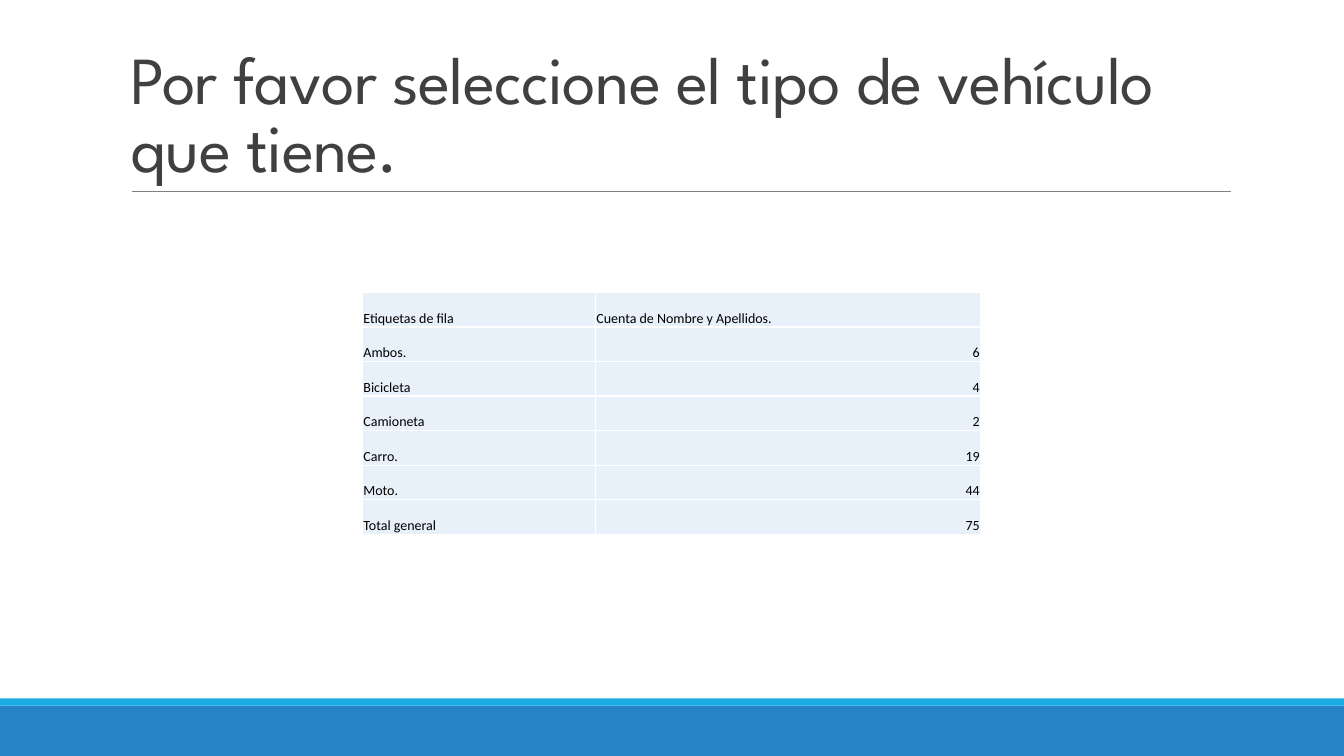
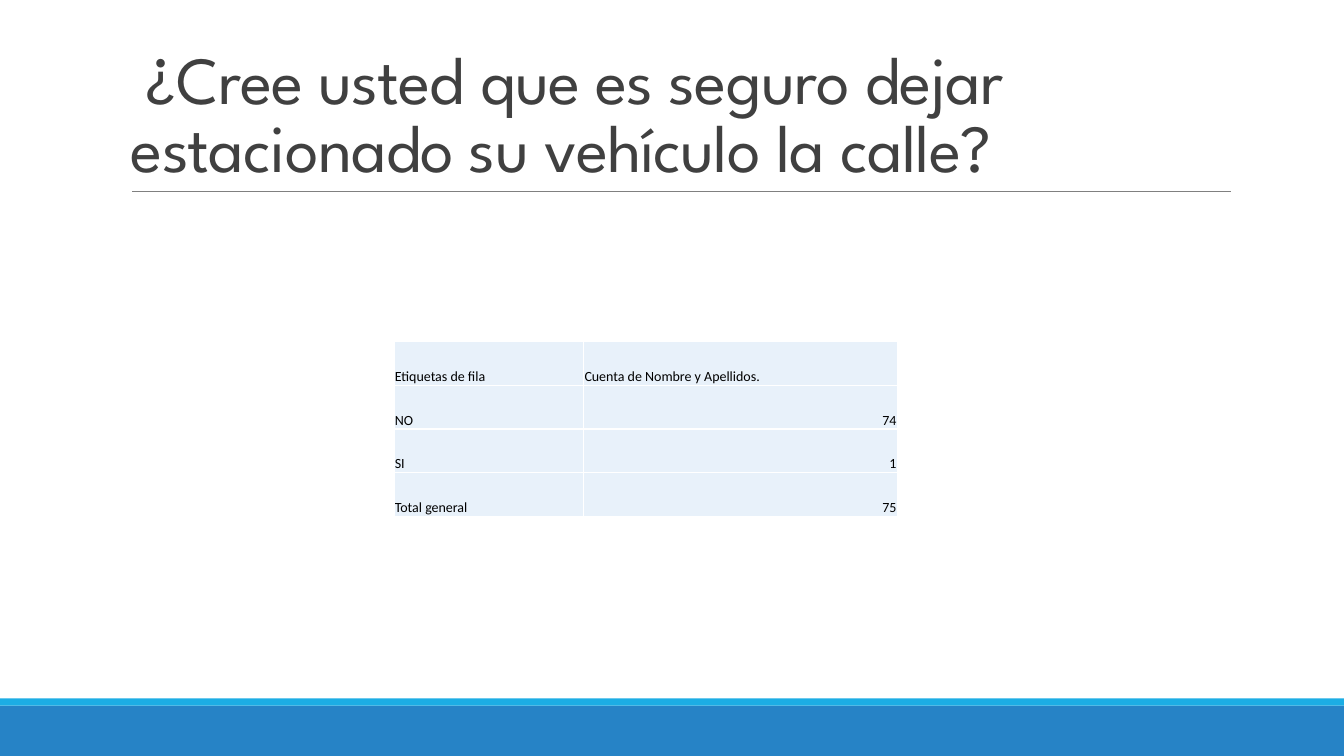
"""Build two survey result slides, each with a title and a table of counts."""
from lxml.etree import SubElement
from pptx import Presentation
from pptx.dml.color import RGBColor
from pptx.enum.shapes import MSO_CONNECTOR as Connector, MSO_SHAPE as Shape
from pptx.enum.text import MSO_ANCHOR as Anchor, PP_ALIGN as Align
from pptx.oxml.ns import qn
from pptx.util import Cm, Pt

HEADER = ("Etiquetas de fila", "Cuenta de Nombre y Apellidos.")
SURVEY = [
    {
        "title": "Por favor seleccione el tipo de vehículo que tiene.",
        "counts": [("Ambos.", 6), ("Bicicleta", 4), ("Camioneta", 2),
                   ("Carro.", 19), ("Moto.", 44)],
        "corner": (9.14, 7.37),
        "columns": (5.87, 9.7),
        "row_height": 0.87,
    },
    {
        "title": " ¿Cree usted que es seguro dejar estacionado su vehículo la calle?",
        "counts": [("NO", 74), ("SI", 1)],
        "corner": (9.93, 8.61),
        "columns": (4.78, 7.9),
        "row_height": 1.1,
    },
]

COLORS = {"footer": "2683C6", "stripe": "1CADE4", "rule": "808080",
          "title": "404040", "cell": "E8F1FA", "border": "FFFFFF", "text": "000000"}
WIDTH, HEIGHT = 33.87, 19.05
FOOTER_TOP = 17.78
BANDS = [("footer", FOOTER_TOP, HEIGHT - FOOTER_TOP), ("stripe", 17.6, 0.18)]
RULE = {"left": 3.33, "right": 31.01, "y": 4.83}
TITLE_BOX = (3.05, 0.79, 27.94, 4.04)
TITLE_FONT = {"name": "League Spartan", "size": Pt(48)}
CELL_FONT = {"name": "Calibri", "size": Pt(10), "bold": False}
CELL_FORMAT = {"vertical_anchor": Anchor.BOTTOM, "margin_left": Cm(0.02),
               "margin_right": Cm(0.02), "margin_top": Cm(0.02), "margin_bottom": 0}


def color(name):
    return RGBColor.from_string(COLORS[name])


def apply(target, values):
    for name, value in values.items():
        setattr(target, name, value)


def add_frame(slide):
    for name, top, height in BANDS:
        band = slide.shapes.add_shape(
            Shape.RECTANGLE, 0, Cm(top), Cm(WIDTH), Cm(height))
        band.shadow.inherit = False
        band.fill.solid()
        band.fill.fore_color.rgb = color(name)
        band.line.fill.background()
    rule = slide.shapes.add_connector(
        Connector.STRAIGHT, Cm(RULE["left"]), Cm(RULE["y"]),
        Cm(RULE["right"]), Cm(RULE["y"]))
    rule.line.color.rgb = color("rule")
    rule.line.width = Pt(0.5)
    SubElement(rule._element.spPr, qn("a:effectLst"))


def add_title(slide, text):
    frame = slide.shapes.add_textbox(*map(Cm, TITLE_BOX)).text_frame
    apply(frame, {"word_wrap": True, "vertical_anchor": Anchor.BOTTOM})
    paragraph = frame.paragraphs[0]
    paragraph.line_spacing = 0.85
    run = paragraph.add_run()
    run.text = text
    apply(run.font, TITLE_FONT)
    run.font.color.rgb = color("title")
    run._r.get_or_add_rPr().set("spc", "-50")


def add_borders(cell):
    properties = cell._tc.get_or_add_tcPr()
    for side in ("lnL", "lnR", "lnT", "lnB"):
        line = SubElement(properties, qn(f"a:{side}"), w=str(Pt(1)))
        fill = SubElement(line, qn("a:solidFill"))
        SubElement(fill, qn("a:srgbClr"), val=COLORS["border"])


def fill_cell(cell, value):
    apply(cell, CELL_FORMAT)
    add_borders(cell)
    cell.fill.solid()
    cell.fill.fore_color.rgb = color("cell")
    paragraph = cell.text_frame.paragraphs[0]
    paragraph.alignment = Align.RIGHT if isinstance(value, int) else Align.LEFT
    run = paragraph.add_run()
    run.text = str(value)
    apply(run.font, CELL_FONT)
    run.font.color.rgb = color("text")


def add_counts(slide, question):
    counts, columns = question["counts"], question["columns"]
    total = sum(count for _, count in counts)
    rows = [HEADER, *counts, ("Total general", total)]
    left, top = question["corner"]
    table = slide.shapes.add_table(
        len(rows), len(columns), Cm(left), Cm(top),
        Cm(sum(columns)), Cm(question["row_height"] * len(rows))).table
    for column, width in zip(table.columns, columns):
        column.width = Cm(width)
    for row, values in zip(table.rows, rows):
        row.height = Cm(question["row_height"])
        for cell, value in zip(row.cells, values):
            fill_cell(cell, value)


def main():
    presentation = Presentation()
    apply(presentation, {"slide_width": Cm(WIDTH), "slide_height": Cm(HEIGHT)})
    for question in SURVEY:
        slide = presentation.slides.add_slide(presentation.slide_layouts[6])
        add_frame(slide)
        add_title(slide, question["title"])
        add_counts(slide, question)
    presentation.save("out.pptx")


if __name__ == "__main__":
    main()
